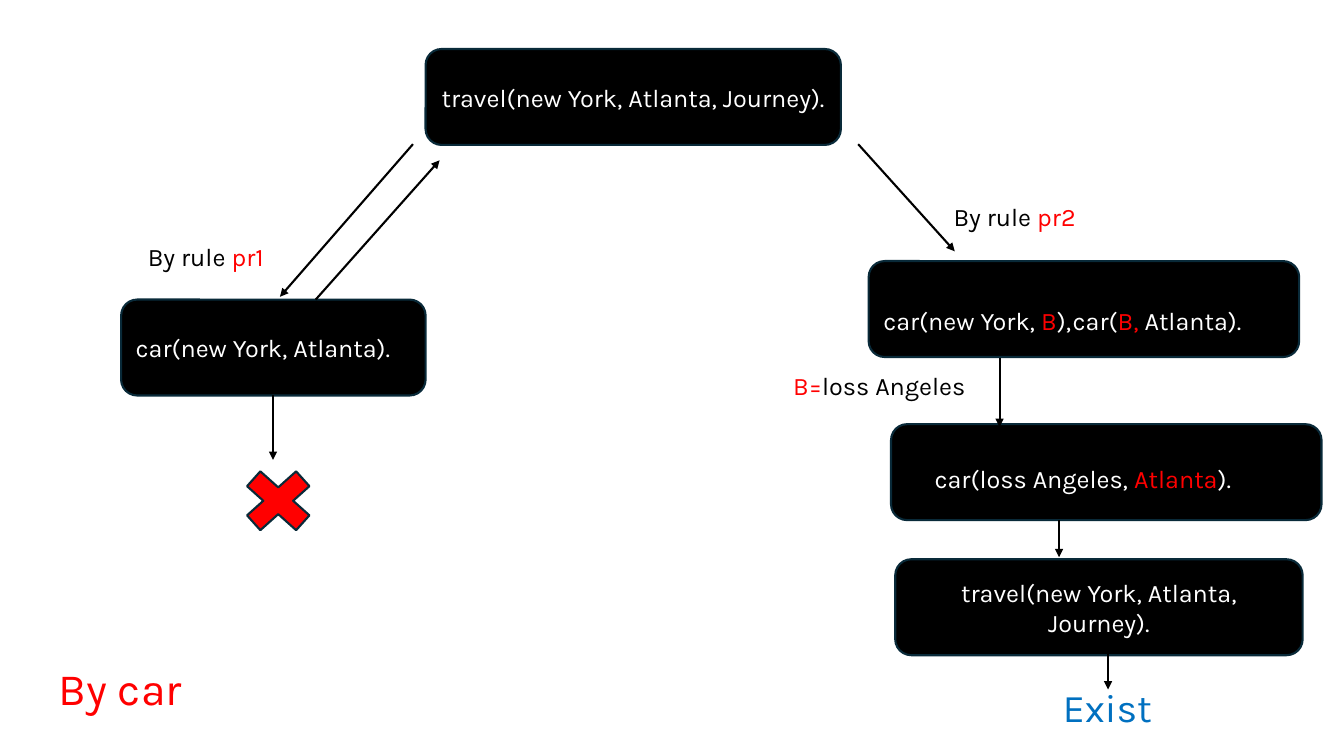
from lxml.etree import SubElement
from pptx import Presentation
from pptx.dml.color import RGBColor
from pptx.enum.shapes import MSO_CONNECTOR, MSO_SHAPE
from pptx.enum.text import MSO_ANCHOR, MSO_AUTO_SIZE, PP_ALIGN
from pptx.oxml.ns import qn
from pptx.util import Pt

COLORS = {"black": "000000", "white": "FFFFFF", "red": "FF0000",
          "blue": "0070C0", "outline": "092A39"}
LEFT, CENTER = PP_ALIGN.LEFT, PP_ALIGN.CENTER
BOX_HEIGHT = 68.5
LABEL_HEIGHT = 29


def rgb(name):
    return RGBColor.from_string(COLORS[name])


def write(sp, runs, size=18, align=CENTER, anchor=MSO_ANCHOR.MIDDLE):
    """Fill a shape with one paragraph of (text, colour) runs."""
    tf = sp.text_frame
    tf.word_wrap = True
    tf.auto_size = MSO_AUTO_SIZE.NONE
    tf.vertical_anchor = anchor
    p = tf.paragraphs[0]
    p.alignment = align
    p.line_spacing = 1.0
    p.space_before = Pt(0)
    for text, color in runs:
        r = p.add_run()
        r.text = text
        r.font.name = "Karla"
        r.font.size = Pt(size)
        r.font.color.rgb = rgb(color)


prs = Presentation()
prs.slide_width, prs.slide_height = Pt(960), Pt(540)
s = prs.slides.add_slide(prs.slide_layouts[5])

title = s.shapes.title
title.left, title.top, title.width, title.height = Pt(0), Pt(468), Pt(172), Pt(46)
write(title, [("By car", "red")], size=32, anchor=MSO_ANCHOR.TOP)

# Goals of the search tree, and the cross that marks the failed branch
goal = "travel(new York, Atlanta, Journey)."
ROUNDED, CROSS = MSO_SHAPE.ROUNDED_RECTANGLE, MSO_SHAPE.MATH_MULTIPLY
for kind, x, y, w, h, fill, text, align in [
    (ROUNDED, 304, 35, 296.64, BOX_HEIGHT, "black", goal, CENTER),
    (ROUNDED, 620.5, 186.5, 307.5, BOX_HEIGHT, "black", "", CENTER),
    (ROUNDED, 636.5, 303, 307.5, BOX_HEIGHT, "black", "", CENTER),
    (ROUNDED, 639.5, 399.5, 291, BOX_HEIGHT, "black", goal, CENTER),
    (ROUNDED, 86.5, 214, 217.5, BOX_HEIGHT, "black", "car(new York, Atlanta).", LEFT),
    (CROSS, 165, 327.5, 67.5, 60.5, "red", "", CENTER),
]:
    sp = s.shapes.add_shape(kind, Pt(x), Pt(y), Pt(w), Pt(h))
    sp.shadow.inherit = False
    sp.fill.solid()
    sp.fill.fore_color.rgb = rgb(fill)
    sp.line.color.rgb = rgb("outline")
    sp.line.width = Pt(1.5)
    if text:
        write(sp, [(text, "white")], align=align)

for x1, y1, x2, y2 in [
    (295, 103, 200, 212),
    (225.5, 214, 314, 114.5),
    (195, 282.5, 195, 328.5),
    (613, 103, 682, 179.5),
    (714, 255.5, 714, 305),
    (756.5, 371.5, 756.5, 398),
    (791.5, 466, 791.5, 492.5),
]:
    arrow = s.shapes.add_connector(MSO_CONNECTOR.STRAIGHT, Pt(x1), Pt(y1), Pt(x2), Pt(y2))
    arrow.line.color.rgb = rgb("black")
    arrow.line.width = Pt(1.5)
    SubElement(arrow.line._get_or_add_ln(), qn("a:tailEnd"), type="triangle")
    SubElement(arrow._element.spPr, qn("a:effectLst"))

for x, y, w, h, size, align, runs in [
    (98.5, 168.5, 109.5, LABEL_HEIGHT, 18, LEFT, [("By rule ", "black"), ("pr1", "red")]),
    (674, 140.5, 117.5, LABEL_HEIGHT, 18, LEFT, [("By rule ", "black"), ("pr2", "red")]),
    (620.5, 214.5, 155, LABEL_HEIGHT, 18, CENTER,
     [("car(new York, ", "white"), ("B", "red"), ("),", "white")]),
    (744, 214.5, 165, LABEL_HEIGHT, 18, CENTER,
     [("car(", "white"), ("B, ", "red"), ("Atlanta).", "white")]),
    (559.5, 261, 139, LABEL_HEIGHT, 18, LEFT, [("B=", "red"), ("loss Angeles", "black")]),
    (644.5, 327.5, 258, LABEL_HEIGHT, 18, CENTER,
     [("car(loss Angeles, ", "white"), ("Atlanta", "red"), (").", "white")]),
    (685.5, 484.5, 211, 41, 28, CENTER, [("Exist", "blue")]),
]:
    label = s.shapes.add_textbox(Pt(x), Pt(y), Pt(w), Pt(h))
    write(label, runs, size=size, align=align, anchor=MSO_ANCHOR.TOP)

prs.save("out.pptx")
